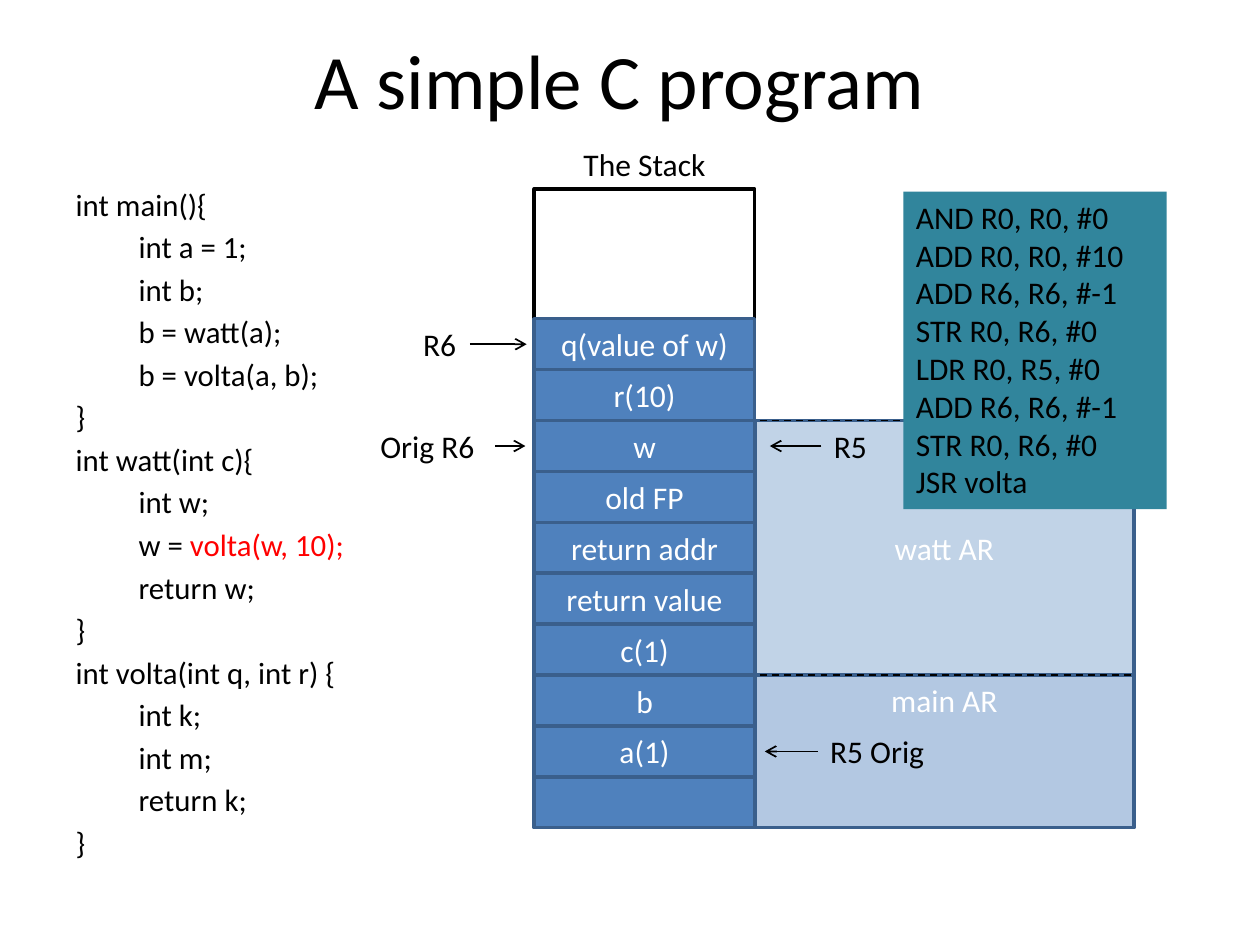
from dataclasses import dataclass
from typing import Optional

from lxml.etree import SubElement
from pptx import Presentation
from pptx.dml.color import RGBColor
from pptx.enum.dml import MSO_LINE
from pptx.enum.shapes import MSO_CONNECTOR, MSO_SHAPE
from pptx.enum.text import MSO_ANCHOR, MSO_AUTO_SIZE, PP_ALIGN
from pptx.oxml.ns import qn
from pptx.util import Inches, Pt

FONT = "Calibri"
BLACK = RGBColor(0x00, 0x00, 0x00)
WHITE = RGBColor(0xFF, 0xFF, 0xFF)
RED = RGBColor(0xFF, 0x00, 0x00)
BLUE = RGBColor(0x4F, 0x81, 0xBD)
DARK_BLUE = RGBColor(0x3A, 0x5F, 0x8C)
TEAL = RGBColor(0x31, 0x85, 0x9C)

STACK_LEFT, STACK_WIDTH = 4.24, 1.75
CELLS_TOP, CELLS_BOTTOM = 2.53, 6.57
LABEL_HEIGHT = 0.4

STACK = ["q(value of w)", "r(10)", "w", "old FP", "return addr",
         "return value", "c(1)", "b", "a(1)", ""]
ROW = (CELLS_BOTTOM - CELLS_TOP) / len(STACK)

PROGRAM = """int main(){
\tint a = 1;
\tint b;
\tb = watt(a);
\tb = volta(a, b);
}
int watt(int c){
\tint w;
\tw = volta(w, 10);
\treturn w;
}
int volta(int q, int r) {
\tint k;
\tint m;
\treturn k;
}"""
CURRENT_CALL = "volta(w, 10);"

ASSEMBLY = """AND R0, R0, #0
ADD R0, R0, #10
ADD R6, R6, #-1
STR R0, R6, #0
LDR R0, R5, #0
ADD R6, R6, #-1
STR R0, R6, #0
JSR volta"""


@dataclass
class ActivationRecord:
    name: str
    first_row: int
    end_row: int
    opacity: int
    anchor: MSO_ANCHOR


@dataclass
class Pointer:
    register: str
    row: int
    left: float
    width: float
    arrow_from: float
    arrow_to: float


RECORDS = [
    ActivationRecord("watt AR", 2, 7, 35, MSO_ANCHOR.MIDDLE),
    ActivationRecord("main AR", 7, 10, 43, MSO_ANCHOR.TOP),
]
POINTERS = [
    Pointer("R6", 0, 3.26, 0.47, 3.73, 4.18),
    Pointer("Orig R6", 2, 2.92, 1.01, 3.93, 4.17),
    Pointer("R5", 2, 6.52, 0.47, 6.52, 6.11),
    Pointer("R5 Orig", 8, 6.49, 0.96, 6.49, 6.07),
]


def row_top(row: int) -> float:
    return CELLS_TOP + row * ROW


def place(shape, left: float, top: float, width: float, height: float) -> None:
    shape.left, shape.top = Inches(left), Inches(top)
    shape.width, shape.height = Inches(width), Inches(height)


def format_text(frame, size: float, color: RGBColor, align: PP_ALIGN) -> None:
    for paragraph in frame.paragraphs:
        paragraph.alignment = align
        for run in paragraph.runs:
            run.font.name = FONT
            run.font.size = Pt(size)
            run.font.color.rgb = color


def add_box(slide, left: float, top: float, width: float, height: float,
            text: str = "", fill: Optional[RGBColor] = BLUE,
            line: Optional[RGBColor] = DARK_BLUE, color: RGBColor = WHITE,
            align: PP_ALIGN = PP_ALIGN.CENTER,
            anchor: MSO_ANCHOR = MSO_ANCHOR.MIDDLE):
    box = slide.shapes.add_shape(MSO_SHAPE.RECTANGLE, Inches(left), Inches(top),
                                 Inches(width), Inches(height))
    box.shadow.inherit = False
    if fill is None:
        box.fill.background()
    else:
        box.fill.solid()
        box.fill.fore_color.rgb = fill
    if line is None:
        box.line.fill.background()
    else:
        box.line.color.rgb = line
        box.line.width = Pt(2)
    box.text_frame.text = text
    box.text_frame.vertical_anchor = anchor
    format_text(box.text_frame, 18, color, align)
    return box


def add_label(slide, text: str, left: float, top: float, width: float,
              align: PP_ALIGN = PP_ALIGN.LEFT) -> None:
    label = slide.shapes.add_textbox(Inches(left), Inches(top), Inches(width),
                                     Inches(LABEL_HEIGHT))
    label.text_frame.text = text
    label.text_frame.word_wrap = align == PP_ALIGN.CENTER
    format_text(label.text_frame, 18, BLACK, align)


def add_line(slide, start: float, end: float, y: float):
    line = slide.shapes.add_connector(MSO_CONNECTOR.STRAIGHT, Inches(start),
                                      Inches(y), Inches(end), Inches(y))
    line.line.color.rgb = BLACK
    line.line.width = Pt(1)
    SubElement(line._element.spPr, qn("a:effectLst"))
    return line


def add_pointer(slide, pointer: Pointer) -> None:
    top = row_top(pointer.row)
    arrow = add_line(slide, pointer.arrow_from, pointer.arrow_to, top + ROW / 2)
    SubElement(arrow.line._get_or_add_ln(), qn("a:tailEnd"), type="arrow")
    add_label(slide, pointer.register, pointer.left, top, pointer.width)


def add_record(slide, record: ActivationRecord) -> None:
    top = row_top(record.first_row)
    box = add_box(slide, STACK_LEFT + STACK_WIDTH, top, 3.01,
                  row_top(record.end_row) - top, record.name,
                  anchor=record.anchor)
    fill_color = box._element.spPr.find(qn("a:solidFill"))[0]
    SubElement(fill_color, qn("a:alpha"), val=str(record.opacity * 1000))
    add_line(slide, 6.03, 9, top).line.dash_style = MSO_LINE.DASH


def fill_program(frame) -> None:
    frame.text = PROGRAM
    frame.auto_size = MSO_AUTO_SIZE.NONE
    frame.vertical_anchor = MSO_ANCHOR.TOP
    for number, paragraph in enumerate(frame.paragraphs):
        properties = paragraph._p.get_or_add_pPr()
        properties.set("marL", "0")
        properties.set("indent", "0")
        SubElement(properties, qn("a:buNone"))
        paragraph.space_before = Pt(3.2 if number else 0)
        if CURRENT_CALL in paragraph.text:
            paragraph.text = paragraph.text.replace(CURRENT_CALL, "")
            paragraph.add_run().text = CURRENT_CALL
    format_text(frame, 17.6, BLACK, PP_ALIGN.LEFT)
    for paragraph in frame.paragraphs:
        for run in paragraph.runs:
            if run.text == CURRENT_CALL:
                run.font.color.rgb = RED


def main() -> None:
    presentation = Presentation()
    presentation.slide_width, presentation.slide_height = Inches(10), Inches(7.5)
    slide = presentation.slides.add_slide(presentation.slide_layouts[1])

    # Title and C source
    title, program = slide.placeholders
    place(title, 0.42, 0, 9, 1.25)
    title.text_frame.text = "A simple C program"
    title.text_frame.vertical_anchor = MSO_ANCHOR.MIDDLE
    format_text(title.text_frame, 44, BLACK, PP_ALIGN.CENTER)
    place(program, 0.5, 1.42, 2.97, 4.95)
    fill_program(program.text_frame)

    # Activation records beside the stack
    for record in RECORDS:
        add_record(slide, record)

    # Stack outline and its cells
    add_box(slide, STACK_LEFT, 1.5, STACK_WIDTH, 4.67, fill=None, line=BLACK)
    add_label(slide, "The Stack", 4.49, 1.1, 1.25, PP_ALIGN.CENTER)
    for row, content in enumerate(STACK):
        add_box(slide, STACK_LEFT, row_top(row), STACK_WIDTH, ROW, content)

    # Register pointers
    for pointer in POINTERS:
        add_pointer(slide, pointer)

    # Assembly for the current call
    add_box(slide, 7.17, 1.52, 2.09, 2.52, ASSEMBLY, TEAL, None, BLACK,
            PP_ALIGN.LEFT, MSO_ANCHOR.TOP)

    presentation.save("out.pptx")


if __name__ == "__main__":
    main()
